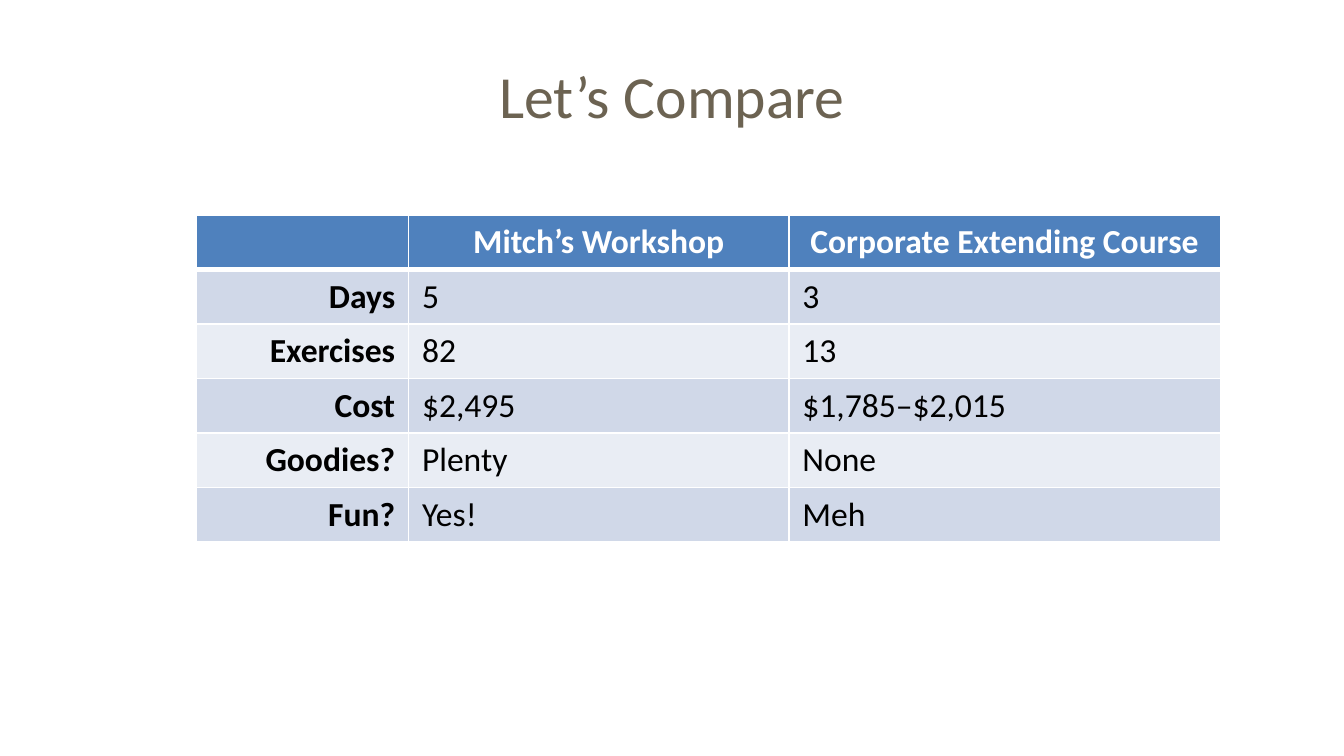
from lxml.etree import SubElement
from pptx import Presentation
from pptx.dml.color import RGBColor
from pptx.enum.text import MSO_ANCHOR, PP_ALIGN
from pptx.oxml.ns import qn
from pptx.util import Pt

TITLE = "Let’s Compare"
ROWS = [
    ("", "Mitch’s Workshop", "Corporate Extending Course"),
    ("Days", "5", "3"),
    ("Exercises", "82", "13"),
    ("Cost", "$2,495", "$1,785–$2,015"),
    ("Goodies?", "Plenty", "None"),
    ("Fun?", "Yes!", "Meh"),
]
COLUMN_WIDTHS = [113.8, 203.8, 231.1]
ROW_HEIGHT = 29.2
TABLE_LEFT, TABLE_TOP = 105.1, 115.2

WHITE = RGBColor(0xFF, 0xFF, 0xFF)
BLACK = RGBColor(0x00, 0x00, 0x00)
BROWN = RGBColor(0x6C, 0x63, 0x52)
HEADER_BLUE = RGBColor(0x4F, 0x81, 0xBD)
BANDS = [RGBColor(0xE9, 0xED, 0xF4), RGBColor(0xD0, 0xD8, 0xE8)]


def write(para, text, align, size, color, bold):
    para.alignment = align
    span = para.add_run()
    span.text = text
    span.font.color.rgb = color
    for name, value in {"name": "Calibri", "size": Pt(size), "bold": bold}.items():
        setattr(span.font, name, value)


def add_borders(cell, widths):
    properties = cell._tc.get_or_add_tcPr()
    for side, width in widths.items():
        line = SubElement(properties, qn(f"a:ln{side}"), w=str(Pt(width)))
        fill = SubElement(line, qn("a:solidFill"))
        SubElement(fill, qn("a:srgbClr"), val=str(WHITE))


def add_title(page):
    title = page.shapes.title
    place = {"left": Pt(36), "top": Pt(16.6), "width": Pt(648), "height": Pt(67.7)}
    for name, value in place.items():
        setattr(title, name, value)
    title.text_frame.vertical_anchor = MSO_ANCHOR.MIDDLE
    write(title.text_frame.paragraphs[0], TITLE, PP_ALIGN.CENTER, 32, BROWN, False)


def add_comparison(page):
    table = page.shapes.add_table(
        len(ROWS), len(COLUMN_WIDTHS), Pt(TABLE_LEFT), Pt(TABLE_TOP),
        Pt(sum(COLUMN_WIDTHS)), Pt(ROW_HEIGHT * len(ROWS)),
    ).table
    for column, width in zip(table.columns, COLUMN_WIDTHS):
        column.width = Pt(width)
    for r, texts in enumerate(ROWS):
        table.rows[r].height = Pt(ROW_HEIGHT)
        header = r == 0
        for c, text in enumerate(texts):
            cell = table.cell(r, c)
            add_borders(cell, {"L": 1, "R": 1, "T": 3 if r == 1 else 1, "B": 3 if header else 1})
            cell.fill.solid()
            cell.fill.fore_color.rgb = HEADER_BLUE if header else BANDS[r % 2]
            if header:
                align = PP_ALIGN.CENTER
            else:
                align = PP_ALIGN.RIGHT if c == 0 else PP_ALIGN.LEFT
            if text:
                write(cell.text_frame.paragraphs[0], text, align, 18,
                      WHITE if header else BLACK, header or c == 0)


def main():
    deck = Presentation()
    deck.slide_width, deck.slide_height = Pt(720), Pt(405)
    page = deck.slides.add_slide(deck.slide_layouts[5])
    add_title(page)
    add_comparison(page)
    deck.save("out.pptx")


if __name__ == "__main__":
    main()
